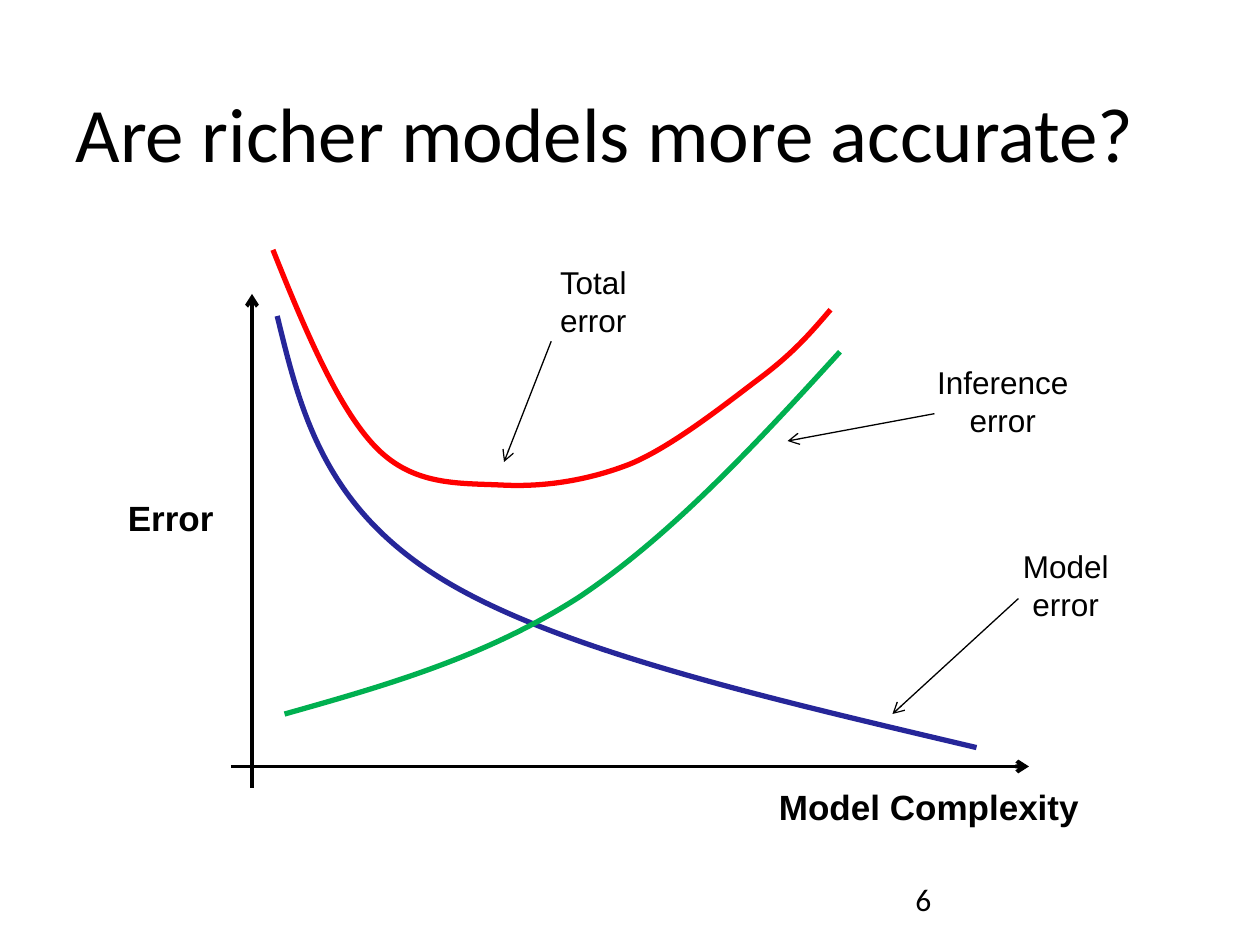
from typing import NamedTuple

from lxml import etree
from pptx import Presentation
from pptx.dml.color import RGBColor
from pptx.enum.shapes import MSO_CONNECTOR
from pptx.enum.text import MSO_ANCHOR, MSO_AUTO_SIZE, PP_ALIGN
from pptx.oxml.ns import qn
from pptx.util import Inches, Pt

BLACK = RGBColor(0x00, 0x00, 0x00)
BLUE = RGBColor(0x26, 0x26, 0x99)
GREEN = RGBColor(0x00, 0xB0, 0x50)
RED = RGBColor(0xFF, 0x00, 0x00)
STRAIGHT = MSO_CONNECTOR.STRAIGHT
LEFT, CENTER = PP_ALIGN.LEFT, PP_ALIGN.CENTER
MIDDLE, TOP, BOTTOM = MSO_ANCHOR.MIDDLE, MSO_ANCHOR.TOP, MSO_ANCHOR.BOTTOM
GROW, FIXED = MSO_AUTO_SIZE.SHAPE_TO_FIT_TEXT, MSO_AUTO_SIZE.NONE
TITLE_ONLY = 5

# The slide is a grid of 120 columns by 90 rows, twelve to the inch.
COLUMNS, ROWS = 120, 90
CELL = Inches(1) // 12

Point = tuple[float, float]
Area = tuple[float, float, float, float]


class Arrow(NamedTuple):
    start: Point
    end: Point
    width: float


class Curve(NamedTuple):
    """A Bezier curve: a start, then two handles and an end per segment."""
    points: list[Point]
    color: RGBColor


class Label(NamedTuple):
    text: str
    area: Area
    size: int = 18
    bold: bool = False
    align: PP_ALIGN = CENTER


AXES = [
    Arrow((22, 73), (98, 73), 2.25),
    Arrow((24, 75), (24, 28), 2.25),
]
POINTERS = [
    Arrow((97, 57), (85, 68), 0.75),
    Arrow((89, 39.4), (75, 42), 0.75),
    Arrow((52.5, 32.5), (48, 44), 0.75),
]
MODEL_ERROR = Curve([
    (26.4, 30.1),
    (28.6, 39.1), (30.8, 48.2), (42, 55.1),
    (53, 61.9), (73.1, 66.5), (93, 71.2),
], BLUE)
INFERENCE_ERROR = Curve([
    (27.1, 68),
    (36.7, 65.3), (46.2, 62.6), (55.1, 56.9),
    (63.8, 51.1), (71.9, 42.4), (80, 33.5),
], GREEN)
TOTAL_ERROR = Curve([
    (26, 23.8),
    (29, 31.3), (32.2, 38.9), (35.8, 42.6),
    (39.4, 46.3), (43.7, 46), (47.8, 46.2),
    (51.7, 46.4), (55.9, 45.8), (60, 44.2),
    (64.1, 42.5), (69.2, 38.4), (72.4, 36),
    (75.6, 33.6), (77.3, 31.6), (79.1, 29.5),
], RED)
LABELS = [
    Label("Model Complexity", (73, 74.2, 32, 5.3), 20, True, LEFT),
    Label("Error", (11, 46.7, 12.4, 5.3), 20, True, LEFT),
    Label("Model error", (95, 51.5, 13, 8.5)),
    Label("Inference error", (88, 34, 15, 8.5)),
    Label("Total error", (49, 24.5, 15, 8.5)),
]


def grid(*values: float) -> list[int]:
    """Turn grid cells into slide lengths."""
    return [round(value * CELL) for value in values]


def write_text(box, text: str, *, size: int, font: str = "Arial", bold: bool = False,
               align=LEFT, anchor=TOP, auto_size=FIXED) -> None:
    frame = box.text_frame
    frame.word_wrap = True
    frame.auto_size = auto_size
    frame.vertical_anchor = anchor
    para = frame.paragraphs[0]
    para.alignment = align
    span = para.add_run()
    span.text = text
    span.font.name = font
    span.font.size = Pt(size)
    span.font.bold = bold
    span.font.color.rgb = BLACK


def draw_arrow(page, arrow: Arrow) -> None:
    connector = page.shapes.add_connector(STRAIGHT, *grid(*arrow.start, *arrow.end))
    connector.line.color.rgb = BLACK
    connector.line.width = Pt(arrow.width)
    outline = connector.line._get_or_add_ln()
    etree.SubElement(outline, qn("a:tailEnd"), type="arrow")
    etree.SubElement(connector._element.spPr, qn("a:effectLst"))


def draw_curve(page, curve: Curve) -> None:
    start, *rest = [grid(*point) for point in curve.points]
    builder = page.shapes.build_freeform(*start)
    builder.add_line_segments(rest, close=False)
    shape = builder.convert_to_shape()
    shape.shadow.inherit = False
    shape.fill.background()
    shape.line.color.rgb = curve.color
    shape.line.width = Pt(3)

    # Each run of three straight steps becomes one cubic segment.
    steps = list(shape._element.iter(qn("a:lnTo")))
    outline = steps[0].getparent()
    for first in range(0, len(steps), 3):
        segment = etree.SubElement(outline, qn("a:cubicBezTo"))
        for step in steps[first:first + 3]:
            segment.append(step[0])
            outline.remove(step)


def draw_label(page, label: Label) -> None:
    box = page.shapes.add_textbox(*grid(*label.area))
    write_text(box, label.text, size=label.size, bold=label.bold,
               align=label.align, auto_size=GROW)


def main() -> None:
    deck = Presentation()
    deck.slide_width, deck.slide_height = grid(COLUMNS, ROWS)
    page = deck.slides.add_slide(deck.slide_layouts[TITLE_ONLY])

    title = page.shapes.title
    title.left, title.top, title.width, title.height = grid(6, 7, 108, 11)
    write_text(title, "Are richer models more accurate?", size=44,
               font="Calibri", anchor=MIDDLE)
    page_number = page.shapes.add_textbox(*grid(86, 82, 28, 6))
    write_text(page_number, "6", size=18, font="Calibri", anchor=BOTTOM)

    for arrow in AXES:
        draw_arrow(page, arrow)
    for curve in (MODEL_ERROR, INFERENCE_ERROR, TOTAL_ERROR):
        draw_curve(page, curve)
    for arrow in POINTERS:
        draw_arrow(page, arrow)
    for label in LABELS:
        draw_label(page, label)

    deck.save("out.pptx")


if __name__ == "__main__":
    main()
